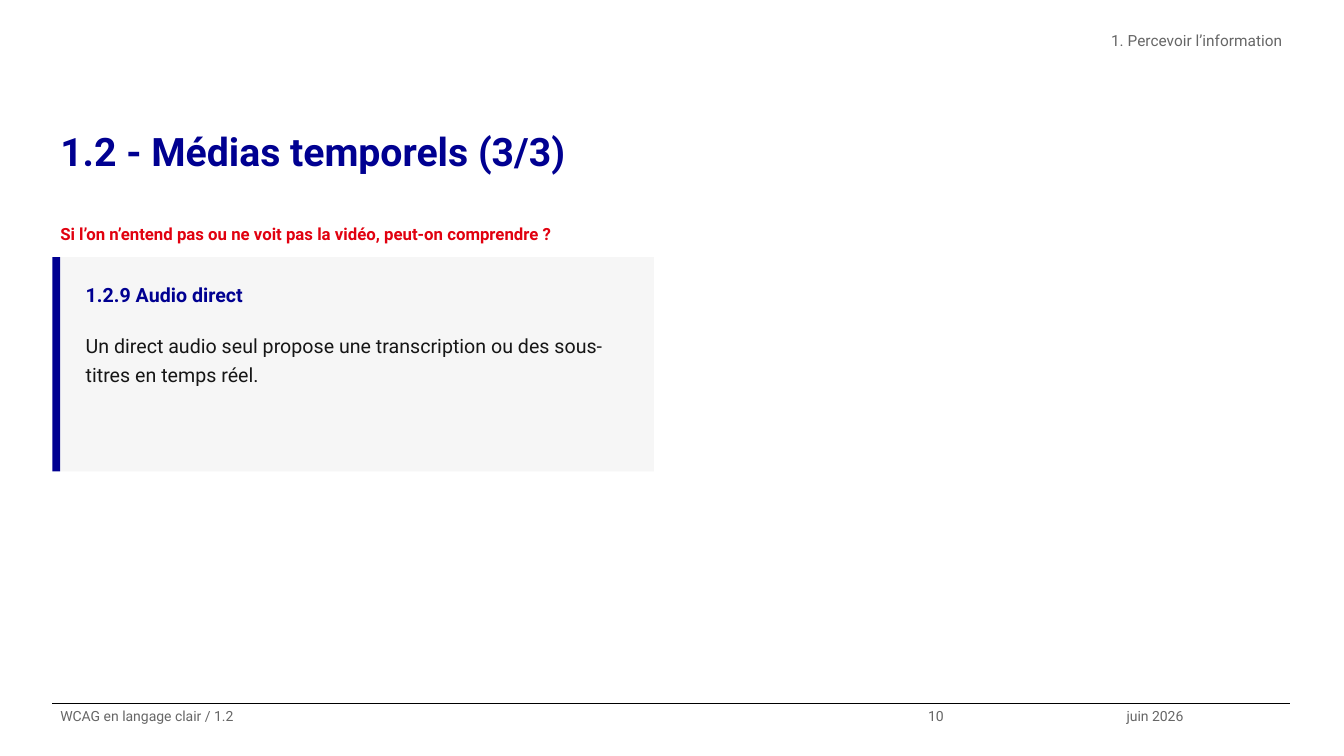
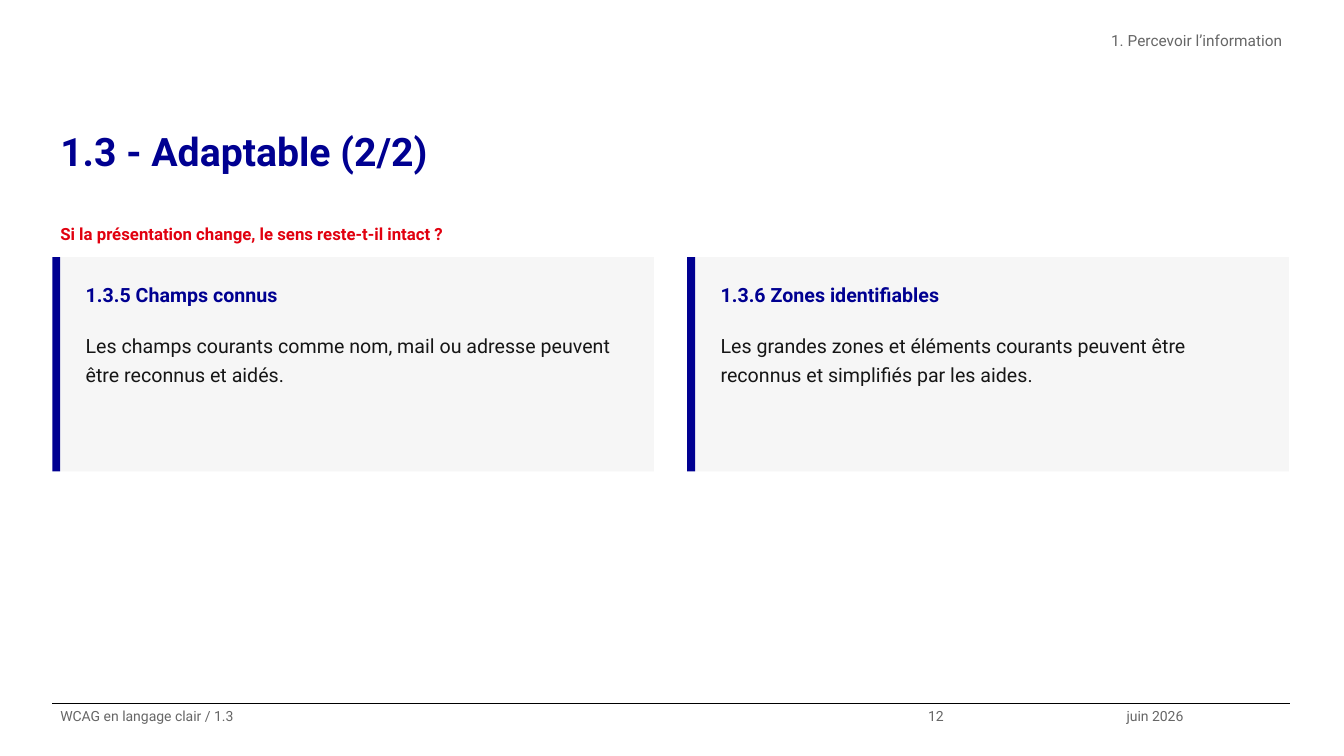
from lxml import etree
from pptx import Presentation
from pptx.dml.color import RGBColor
from pptx.enum.shapes import MSO_CONNECTOR as CONNECTOR, MSO_SHAPE as SHAPE
from pptx.enum.text import MSO_ANCHOR as ANCHOR, MSO_AUTO_SIZE as FIT, PP_ALIGN as ALIGN
from pptx.oxml.ns import qn
from pptx.util import Cm, Pt

FONT = "Roboto"
COLORS = {
    "blue": "000091",
    "red": "E1000F",
    "panel": "F6F6F6",
    "text": "161616",
    "muted": "666666",
    "rule": "000000",
}
# Lengths in centimetres
LEFT, WIDTH = 1.32, 31.2
FOOTER_TOP, FOOTER_HEIGHT = 17.73, 1.32
CARD_TOP, CARD_WIDTH, CARD_HEIGHT, CARD_GAP = 6.48, 15.16, 5.4, 0.84
BAR_WIDTH = 0.2
CARD_PADDING = 0.64

SECTION = "1. Percevoir l’information"
DATE = "juin 2026"
SLIDES = [
    {
        "criterion": "1.2",
        "title": "Médias temporels (3/3)",
        "number": 10,
        "question": "Si l’on n’entend pas ou ne voit pas la vidéo, peut-on comprendre ?",
        "cards": [
            ("1.2.9 Audio direct",
             "Un direct audio seul propose une transcription ou des sous-titres en temps réel."),
        ],
    },
    {
        "criterion": "1.3",
        "title": "Adaptable (2/2)",
        "number": 12,
        "question": "Si la présentation change, le sens reste-t-il intact ?",
        "cards": [
            ("1.3.5 Champs connus",
             "Les champs courants comme nom, mail ou adresse peuvent être reconnus et aidés."),
            ("1.3.6 Zones identifiables",
             "Les grandes zones et éléments courants peuvent être reconnus et simplifiés par les aides."),
        ],
    },
]


def rgb(name):
    return RGBColor.from_string(COLORS[name])


def write(sp, text, size=14, color="text", bold=False, align=ALIGN.LEFT, inset=0.0, fit=FIT.NONE):
    """Fill a shape with one formatted paragraph and return the paragraph."""
    tf = sp.text_frame
    tf.word_wrap = True
    tf.auto_size = fit
    tf.vertical_anchor = ANCHOR.TOP
    tf.margin_left = tf.margin_right = Cm(0.2)
    tf.margin_top = tf.margin_bottom = Cm(inset)
    p = tf.paragraphs[0]
    p.alignment = align
    p.line_spacing = 1.25
    p.space_before = Pt(0)
    r = p.add_run()
    r.text = text
    r.font.name = FONT
    r.font.size = Pt(size)
    r.font.bold = bold
    r.font.color.rgb = rgb(color)
    return p


def place(sp, x, y, w, h):
    sp.left, sp.top, sp.width, sp.height = Cm(x), Cm(y), Cm(w), Cm(h)


class Deck:
    def __init__(self):
        self.prs = Presentation()
        self.prs.slide_width, self.prs.slide_height = Cm(33.87), Cm(19.05)
        self.slide = None

    def new_slide(self):
        self.slide = self.prs.slides.add_slide(self.prs.slide_layouts[1])

    def title(self, text):
        sp = self.slide.shapes.title
        place(sp, LEFT, 2.92, WIDTH, 2.67)
        write(sp, text, size=28, color="blue", bold=True)

    def section(self, text):
        sp = self.slide.placeholders[1]
        place(sp, 12.27, 0.66, LEFT + WIDTH - 12.27, 1.32)
        p = write(sp, text, size=11, color="muted", align=ALIGN.RIGHT)
        pPr = p._p.get_or_add_pPr()
        pPr.set("marL", str(Cm(0.3)))
        pPr.set("indent", str(Cm(-0.3)))
        etree.SubElement(pPr, qn("a:buNone"))

    def text(self, text, x, y, w, h, **fmt):
        sp = self.slide.shapes.add_textbox(Cm(x), Cm(y), Cm(w), Cm(h))
        write(sp, text, **fmt)

    def growing_text(self, text, x, y, w, h, **fmt):
        self.text(text, x, y, w, h, inset=0.13, fit=FIT.SHAPE_TO_FIT_TEXT, **fmt)

    def rect(self, x, y, w, h, color):
        sp = self.slide.shapes.add_shape(SHAPE.RECTANGLE, Cm(x), Cm(y), Cm(w), Cm(h))
        sp.shadow.inherit = False
        sp.fill.solid()
        sp.fill.fore_color.rgb = rgb(color)
        sp.line.fill.background()

    def rule(self, y):
        line = self.slide.shapes.add_connector(
            CONNECTOR.STRAIGHT, Cm(LEFT), Cm(y), Cm(LEFT + WIDTH), Cm(y))
        line.line.color.rgb = rgb("rule")
        line.line.width = Pt(0.8)
        etree.SubElement(line._element.spPr, qn("a:effectLst"))

    def footer(self, label, number):
        self.rule(FOOTER_TOP)
        for text, x, w in ((label, LEFT, 21.87), (str(number), 23.19, 5), (DATE, 28.19, 4.33)):
            self.text(text, x, FOOTER_TOP, w, FOOTER_HEIGHT, size=10, color="muted")

    def question(self, text):
        self.growing_text(text, LEFT, 5.38, WIDTH, 0.71, size=12, color="red", bold=True)

    def card(self, column, heading, body):
        x = LEFT + column * (CARD_WIDTH + CARD_GAP)
        self.rect(x + BAR_WIDTH, CARD_TOP, CARD_WIDTH - BAR_WIDTH, CARD_HEIGHT, "panel")
        self.rect(x, CARD_TOP, BAR_WIDTH, CARD_HEIGHT, "blue")
        text_width = CARD_WIDTH - BAR_WIDTH - 2 * (CARD_PADDING - BAR_WIDTH)
        self.growing_text(heading, x + CARD_PADDING, CARD_TOP + 0.38, text_width, 1.14,
                          color="blue", bold=True)
        self.growing_text(body, x + CARD_PADDING, CARD_TOP + 1.65, text_width, 3.35)


def main():
    deck = Deck()
    for content in SLIDES:
        deck.new_slide()
        deck.title(f"{content['criterion']} - {content['title']}")
        deck.section(SECTION)
        deck.question(content["question"])
        for column, (heading, body) in enumerate(content["cards"]):
            deck.card(column, heading, body)
        deck.footer(f"WCAG en langage clair / {content['criterion']}", content["number"])
    deck.prs.save("out.pptx")


if __name__ == "__main__":
    main()
